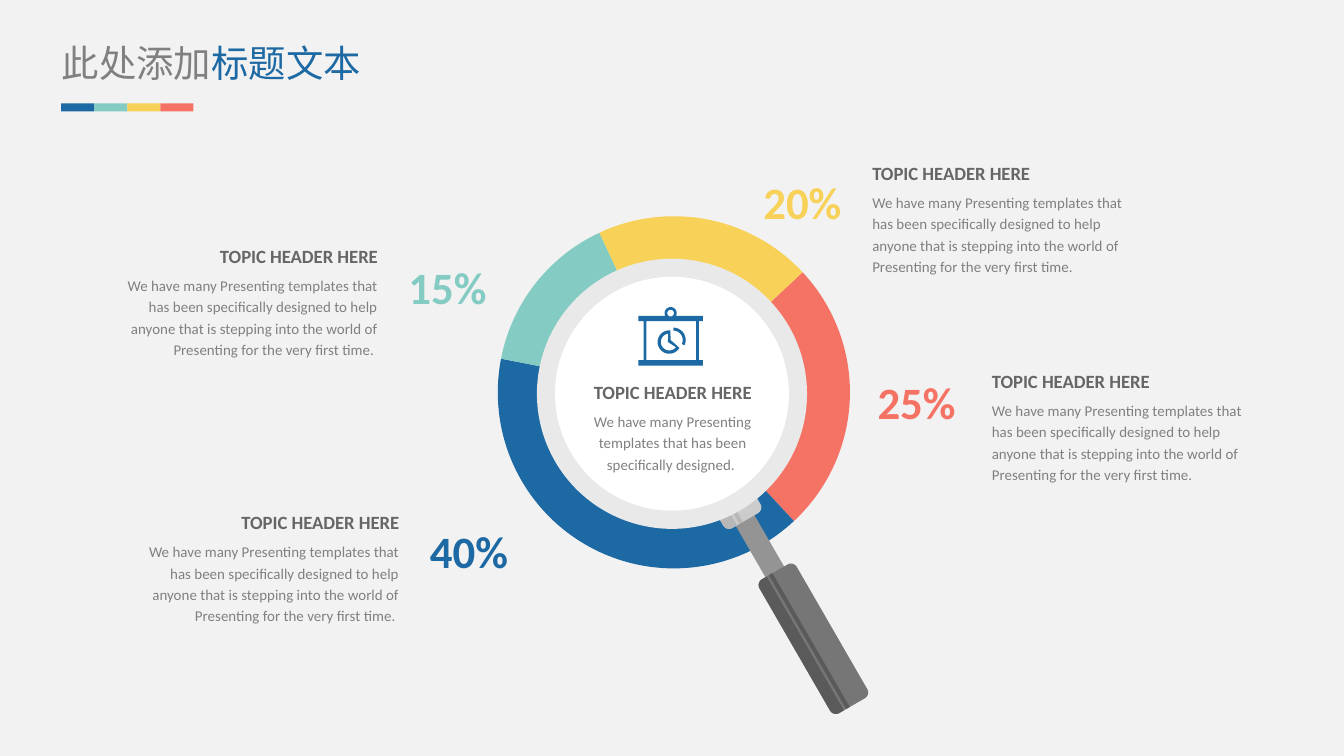
from math import cos, radians, sin

from lxml import etree
from pptx import Presentation
from pptx import util as u
from pptx.chart.data import CategoryChartData
from pptx.dml.color import RGBColor
from pptx.enum import chart as ch, shapes, text
from pptx.oxml import ns, parse_xml

BLUE, TEAL, YELLOW, RED = "1D69A3", "84CBC3", "F8D158", "F57365"
HEADING, BODY = "666666", "808080"
LEFT, CENTER, RIGHT = text.PP_ALIGN.LEFT, text.PP_ALIGN.CENTER, text.PP_ALIGN.RIGHT
HEADER = "TOPIC HEADER HERE"
STORY = ("We have many Presenting templates that has been specifically designed to help "
         "anyone that is stepping into the world of Presenting for the very first time.")
LENS = (50, 29.3)  # centre of the magnifier, in grid cells


def cell(n):
    """Grid of 100 columns on a 10 inch slide: one square cell is 0.1 inch."""
    return u.Inches(n / 10)


def color(hex_code):
    return RGBColor.from_string(hex_code)


def arc(cx, cy, r, start, end, steps=24):
    """Points along an arc; angles run clockwise from the right."""
    angles = [radians(start + (end - start) * i / steps) for i in range(steps + 1)]
    return [(cx + r * cos(a), cy + r * sin(a)) for a in angles]


def write(paragraph, words, size=8, hex_code=BODY, bold=False, font="Calibri"):
    run = paragraph.add_run()
    run.text = words
    run.font.size, run.font.bold, run.font.name = u.Pt(size), bold, font
    run.font.color.rgb = color(hex_code)
    east_asian = etree.SubElement(run.font._element, ns.qn("a:ea"))
    east_asian.set("typeface", font)


class Deck:
    def __init__(self):
        self.prs = Presentation()
        self.prs.slide_width, self.prs.slide_height = cell(100), cell(56.25)
        self.slide = self.prs.slides.add_slide(self.prs.slide_layouts[6])
        fill = self.slide.background.fill
        fill.solid()
        fill.fore_color.rgb = color("F2F2F2")

    def paint(self, shape, hex_code):
        shape.shadow.inherit = False
        shape.fill.solid()
        shape.fill.fore_color.rgb = color(hex_code)
        shape.line.fill.background()

    def block(self, kind, left, top, width, height, hex_code):
        shape = self.slide.shapes.add_shape(kind, *map(cell, (left, top, width, height)))
        self.paint(shape, hex_code)

    def disc(self, radius, hex_code):
        x, y = LENS
        self.block(shapes.MSO_SHAPE.OVAL, x - radius, y - radius, 2 * radius, 2 * radius, hex_code)

    def outline(self, contours, hex_code):
        """One filled shape; inner contours cut holes."""
        contours = [[(cell(x), cell(y)) for x, y in points] for points in contours]
        builder = self.slide.shapes.build_freeform(*contours[0][0])
        for i, points in enumerate(contours):
            if i:
                builder.move_to(*points[0])
            builder.add_line_segments(points[1:], close=True)
        self.paint(builder.convert_to_shape(), hex_code)

    def handle_part(self, near, far, right, left, hex_code, radii=(0, 0, 0, 0)):
        """Bar on the handle's axis, which leaves the lens 60 degrees below horizontal."""
        corners = [(near, right, 1, 1, 180), (far, right, -1, 1, 270),
                   (far, left, -1, -1, 0), (near, left, 1, -1, 90)]
        points = []
        for (along, across, da, dc, start), r in zip(corners, radii):
            points += arc(along + da * r, across + dc * r, r, start, start + 90, 6) if r else [(along, across)]
        c, s = cos(radians(60)), sin(radians(60))
        self.outline([[(LENS[0] + a * c - b * s, LENS[1] + a * s + b * c) for a, b in points]], hex_code)

    def text_box(self, left, top, width, height, paragraphs, align=LEFT, spacing=1.2, before=3):
        """Each paragraph is a list of (words, format) runs."""
        frame = self.slide.shapes.add_textbox(*map(cell, (left, top, width, height))).text_frame
        frame.word_wrap = True
        frame.margin_left = frame.margin_right = frame.margin_top = frame.margin_bottom = 0
        for i, runs in enumerate(paragraphs):
            paragraph = frame.add_paragraph() if i else frame.paragraphs[0]
            paragraph.alignment, paragraph.line_spacing = align, spacing
            paragraph.space_before = u.Pt(before)
            for words, style in runs:
                write(paragraph, words, **style)

    def topic(self, left, top, width, height, story, align):
        heading = (HEADER, dict(size=10, hex_code=HEADING, bold=True))
        self.text_box(left, top, width, height, [[heading], [(story, {})]], align)

    def doughnut(self, left, top, width, height, values, hexes, start):
        data = CategoryChartData()
        data.categories = [str(i + 1) for i in range(len(values))]
        data.add_series("Series 1", values)
        chart = self.slide.shapes.add_chart(
            ch.XL_CHART_TYPE.DOUGHNUT, *map(cell, (left, top, width, height)), data).chart
        chart.has_legend = chart.has_title = False
        chart.font.size, chart.font.name = u.Pt(18), "Calibri"
        chart.font.color.rgb = color("333333")
        plot = chart.plots[0]
        plot.vary_by_categories = True
        for i, hex_code in enumerate(hexes):
            style = plot.series[0].points[i].format
            style.fill.solid()
            style.fill.fore_color.rgb = color(hex_code)
            style.line.fill.background()
        ring = chart._chartSpace.find(".//" + ns.qn("c:doughnutChart"))
        ring.find(ns.qn("c:firstSliceAng")).set("val", str(start))
        ring.find(ns.qn("c:holeSize")).set("val", "90")
        # Fixed plot area, so the ring is centred on the lens
        area = ring.getparent()
        for old in area.findall(ns.qn("c:layout")):
            area.remove(old)
        sides = "".join(f'<c:{k} val="{v}"/>' for k, v in zip("xywh", (0.05, 0.05, 0.91, 0.89)))
        area.insert(0, parse_xml(
            f'<c:layout {ns.nsdecls("c")}><c:manualLayout><c:layoutTarget val="inner"/>'
            f'<c:xMode val="edge"/><c:yMode val="edge"/>{sides}</c:manualLayout></c:layout>'))

    def board_icon(self):
        frame = [(47.5, 23.5), *arc(49.9, 23.3, 0.45, 153, 387), (52.3, 23.5), (52.3, 23.9),
                 (52, 23.9), (52, 26.8), (52.3, 26.8), (52.3, 27.2), (47.5, 27.2),
                 (47.5, 26.8), (47.9, 26.8), (47.9, 23.9), (47.5, 23.9)]
        hook = arc(49.9, 23.3, 0.25, 0, 360)
        panel = [(48.1, 23.9), (51.8, 23.9), (51.8, 26.8), (48.1, 26.8)]
        pie = [*arc(49.8, 25.45, 0.87, 30, 275), (49.9, 25.3)]
        pie_hole = [*arc(49.8, 25.45, 0.63, 38, 263), (49.7, 25.45)]
        slice_edge = arc(50.1, 25.3, 0.92, -90, 25) + arc(50.1, 25.3, 0.7, 25, -90)
        self.outline([frame, hook, panel, pie, pie_hole, slice_edge], BLUE)


def main():
    deck = Deck()

    # Ring of shares
    deck.doughnut(35.6, 14.5, 28.8, 29.7, (25, 40, 15, 20), (RED, BLUE, TEAL, YELLOW), 47)

    # Magnifier: neck, collar, grip, then their shaded sides
    r = 0.5
    deck.handle_part(10, 16.3, -0.8, 0.8, "949494")
    deck.handle_part(7.9, 10.9, -1.6, 1.6, "CCCCCC", (r, r, r, r))
    deck.handle_part(15.3, 26.8, -1.6, 1.6, "767676", (r, r, r, r))
    deck.handle_part(15.3, 26.8, 0.7, 1.6, "5A5A5A", (0, 0, r, r))
    deck.handle_part(15.3, 26.8, 0.2, 0.5, "5A5A5A")
    deck.handle_part(9.2, 10.9, 0.7, 1.6, "B8B8B8", (0, 0, r, 0))
    deck.handle_part(9.2, 10.9, 0.2, 0.5, "B8B8B8")
    deck.disc(10.05, "E9E9E9")
    deck.disc(8.7, "FFFFFF")

    # Lens content
    deck.board_icon()
    deck.topic(42.1, 28, 15.9, 7.3,
               "We have many Presenting templates that has been specifically designed. ", CENTER)

    # Topics with their shares
    for left, top, align, share_left, share_top, share, hex_code in (
            (7.9, 17.9, RIGHT, 30, 18.5, "15%", TEAL),
            (9.5, 37.7, RIGHT, 31.6, 38.2, "40%", BLUE),
            (64.9, 11.7, LEFT, 56.4, 12.2, "20%", YELLOW),
            (73.8, 27.2, LEFT, 64.9, 27.1, "25%", RED)):
        deck.topic(left, top, 20.2, 8.9, STORY + " " if align == RIGHT else STORY, align)
        deck.text_box(share_left, share_top, 6.6, 4.8,
                      [[(share, dict(size=24, hex_code=hex_code, bold=True))]], CENTER)

    # Title and its colour bar
    title = dict(size=20, font="Noto Sans CJK SC")
    deck.text_box(4.6, 3, 30.4, 3.4,
                  [[("此处添加", title), ("标题文本", dict(title, hex_code=BLUE))]], spacing=1, before=0)
    for i, hex_code in enumerate((BLUE, TEAL, YELLOW, RED)):
        deck.block(shapes.MSO_SHAPE.RECTANGLE, 4.55 + 2.46 * i, 7.7, 2.46, 0.6, hex_code)

    deck.prs.save("out.pptx")


if __name__ == "__main__":
    main()
